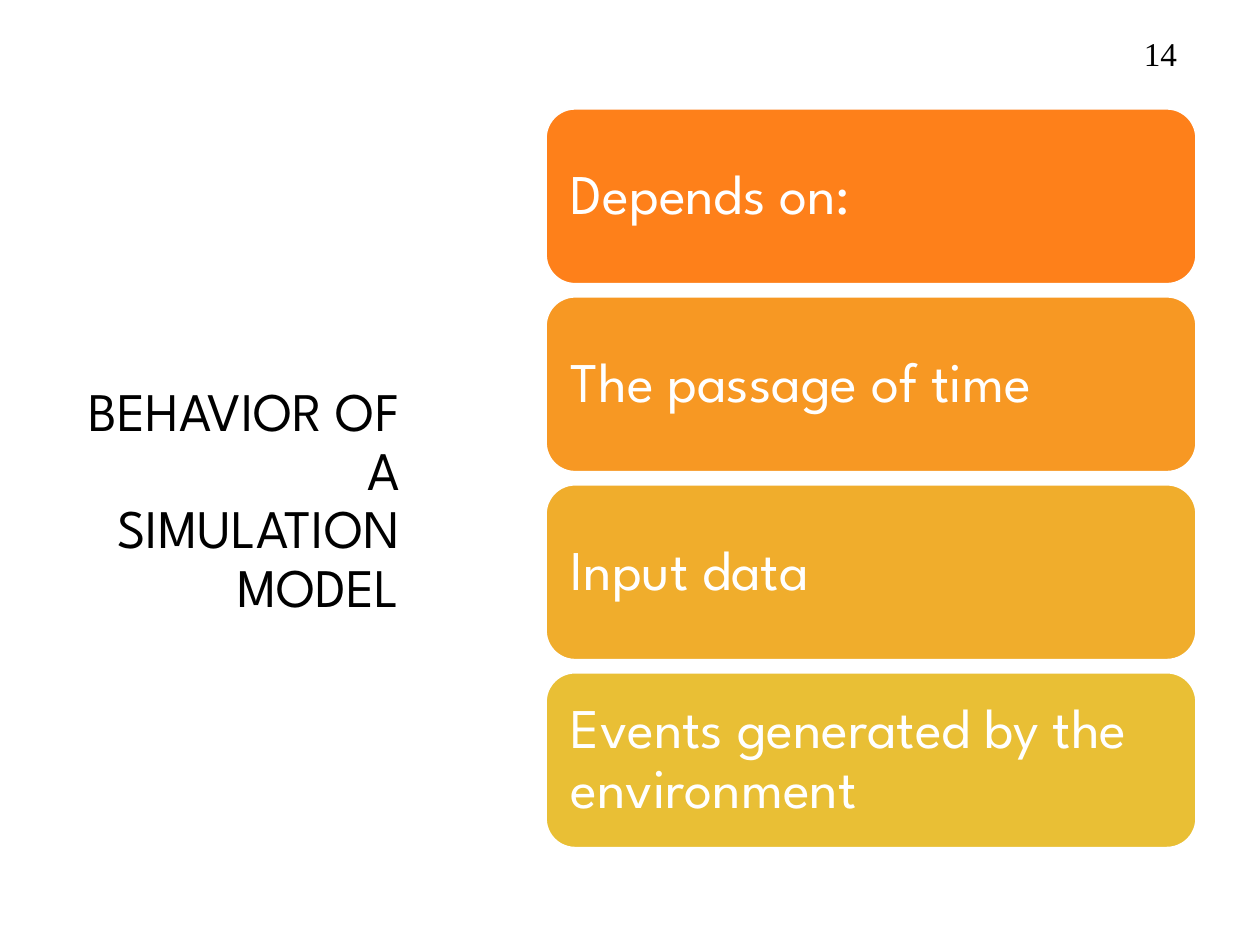
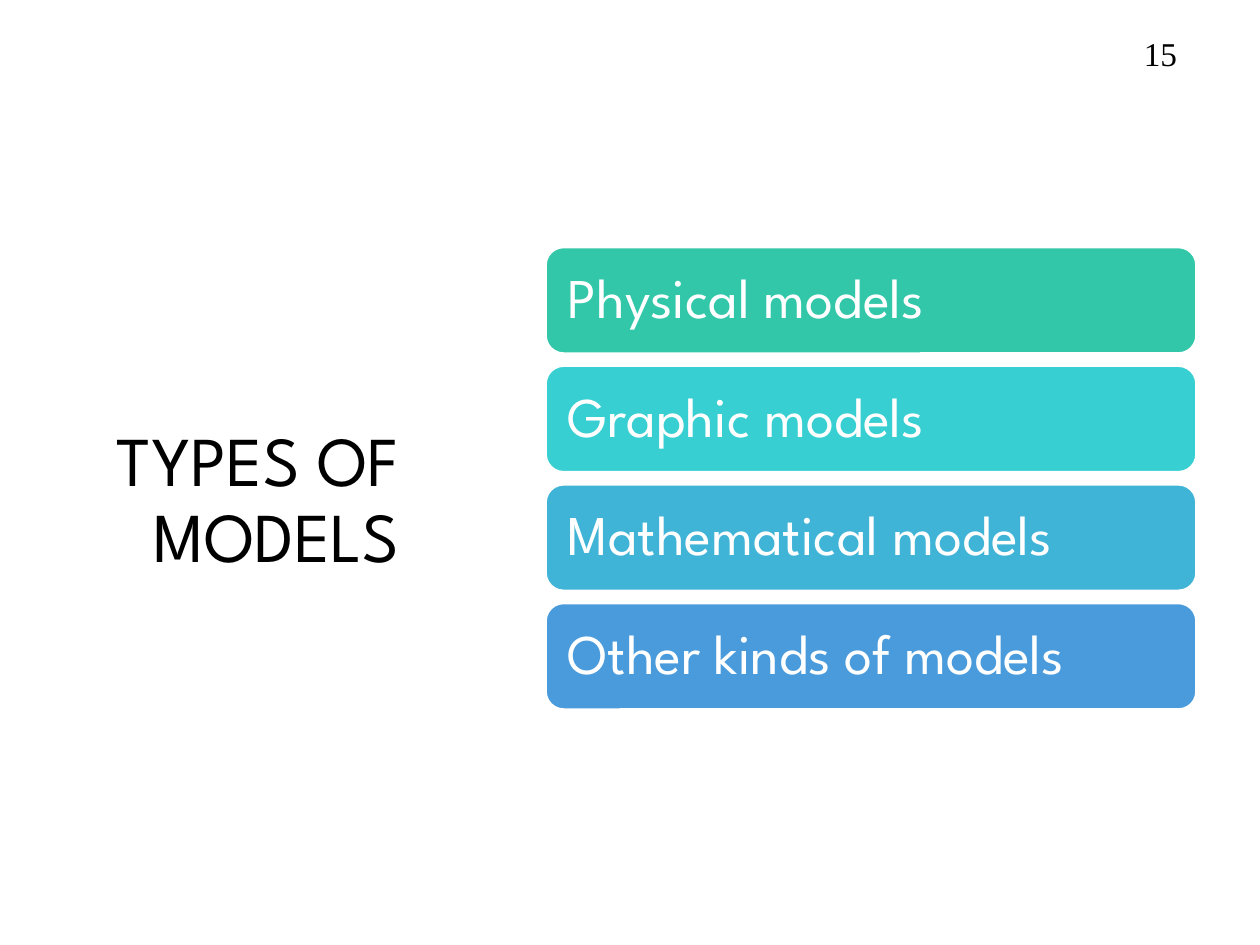
"""Builds two slides, each a right-aligned title beside a column of coloured cards."""
from dataclasses import dataclass

from pptx import Presentation
from pptx.dml.color import RGBColor as Color
from pptx.enum.shapes import MSO_SHAPE as Shape
from pptx.enum.text import MSO_ANCHOR as Anchor, MSO_AUTO_SIZE as AutoSize, PP_ALIGN as Align
from pptx.util import Pt


@dataclass(frozen=True)
class Theme:
    font: str = "League Spartan"
    number_font: str = "Times New Roman"
    ink: str = "000000"
    paper: str = "FFFFFF"
    card_size: int = 32
    number_size: int = 19
    line_spacing: float = 0.9


theme = Theme()
first_number = 14
card_left, card_width, card_gap = 312, 371.5, 7.4
column_middle = 273.3
card_inset = 9.4

pages = [
    ("BEHAVIOR OF A SIMULATION MODEL", 31, 100, [
        ("Depends on:", "FE801A"),
        ("The passage of time", "F79823"),
        ("Input data", "F0AD2C"),
        ("Events generated by the environment", "E9BF35"),
    ]),
    ("TYPES OF MODELS", 40, 60.4, [
        ("Physical models", "32C7A9"),
        ("Graphic models", "37CFD1"),
        ("Mathematical models", "40B4D7"),
        ("Other kinds of models", "4A9BDC"),
    ]),
]


def write(box, text, font, size, color, align):
    """Fill a box with one vertically centred paragraph."""
    frame = box.text_frame
    frame.text = text
    frame.word_wrap = True
    frame.auto_size = AutoSize.NONE
    frame.vertical_anchor = Anchor.MIDDLE
    para = frame.paragraphs[0]
    para.alignment = align
    para.line_spacing = theme.line_spacing
    para.font.name = font
    para.font.size = Pt(size)
    para.font.color.rgb = Color.from_string(color)
    return frame


deck = Presentation()
deck.slide_width, deck.slide_height = Pt(720), Pt(540)
title_only = deck.slide_layouts[5]

for number, (heading, heading_size, card_height, cards) in enumerate(pages, first_number):
    page = deck.slides.add_slide(title_only)
    page.background.fill.solid()
    page.background.fill.fore_color.rgb = Color.from_string(theme.paper)

    title = page.shapes.title
    title.left, title.top, title.width, title.height = Pt(40.3), Pt(84.2), Pt(195.1), Pt(405.4)
    write(title, heading, theme.font, heading_size, theme.ink, Align.RIGHT)

    pitch = card_height + card_gap
    column_top = column_middle - (len(cards) * pitch - card_gap) / 2
    for row, (label, color) in enumerate(cards):
        card = page.shapes.add_shape(
            Shape.ROUNDED_RECTANGLE, Pt(card_left), Pt(column_top + row * pitch),
            Pt(card_width), Pt(card_height))
        card.shadow.inherit = False
        card.fill.solid()
        card.fill.fore_color.rgb = Color.from_string(color)
        card.line.color.rgb = Color.from_string(theme.paper)
        card.line.width = Pt(1)
        frame = write(card, label, theme.font, theme.card_size, theme.paper, Align.LEFT)
        frame.margin_left = frame.margin_right = Pt(card_inset)
        frame.margin_top = frame.margin_bottom = Pt(card_inset)

    number_box = page.shapes.add_textbox(Pt(517.7), Pt(17.3), Pt(162), Pt(28.8))
    write(number_box, str(number), theme.number_font, theme.number_size, theme.ink, Align.RIGHT)

deck.save("out.pptx")
